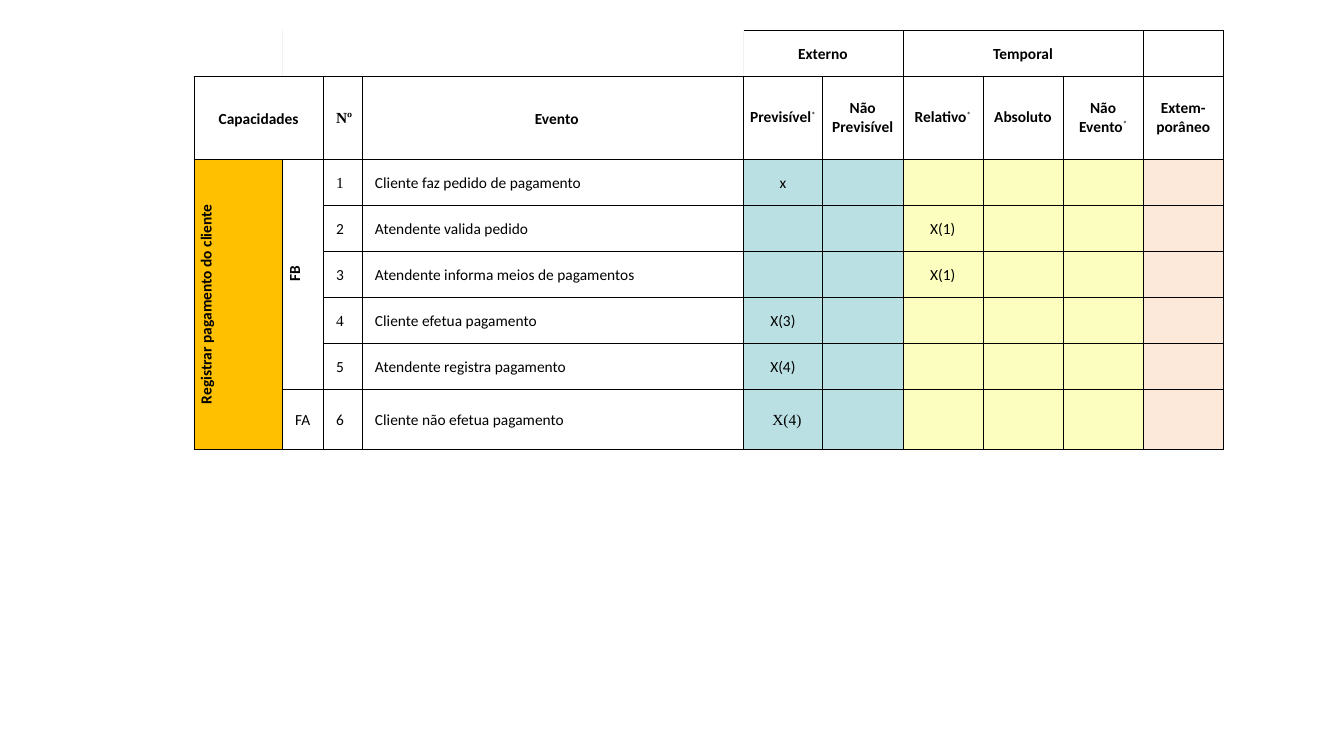
from dataclasses import dataclass

from lxml import etree
from pptx import Presentation, util as u
from pptx.dml.color import RGBColor
from pptx.enum import text
from pptx.oxml.ns import qn

BLACK = RGBColor(0x00, 0x00, 0x00)
PALE_GREY = RGBColor(0xF2, 0xF2, 0xF2)
GOLD = RGBColor(0xFF, 0xC0, 0x00)
BLUE = RGBColor(0xBB, 0xE0, 0xE3)
YELLOW = RGBColor(0xFB, 0xFE, 0xBE)
PEACH = RGBColor(0xFD, 0xE9, 0xD9)

SANS, SERIF = "Calibri", "Times New Roman"
COLUMN_WIDTHS = [2.23, 1.03, 0.98, 9.6, 2.0] + [2.02] * 5
ROW_HEIGHTS = [1.16, 2.08] + [1.16] * 5 + [1.53]
EVENT_FILLS = [None] * 4 + [BLUE] * 2 + [YELLOW] * 3 + [PEACH]
FIRST_EVENT_ROW = 2


@dataclass
class Label:
    row: int
    col: int
    text: str
    bold: bool = False
    font: str = SANS
    centred: bool = True
    indented: bool = False
    spacing: float = 1.15
    starred: bool = False
    vertical: bool = False


@dataclass
class Event:
    name: str
    mark: str
    mark_col: int = 4
    number_font: str = SANS
    mark_font: str = SANS


@dataclass
class Span:
    row: int
    col: int
    rows: int
    cols: int


HEADINGS = [
    Label(0, 4, "Externo", bold=True),
    Label(0, 6, "Temporal", bold=True),
    Label(1, 0, "Capacidades", bold=True),
    Label(1, 2, "Nº", bold=True, font=SERIF, centred=False, indented=True),
    Label(1, 3, "Evento", bold=True, indented=True),
    Label(1, 4, "Previsível", bold=True, spacing=1.0, starred=True),
    Label(1, 5, "Não Previsível", bold=True, spacing=1.0),
    Label(1, 6, "Relativo", bold=True, spacing=1.0, starred=True),
    Label(1, 7, "Absoluto", bold=True, spacing=1.0),
    Label(1, 8, "Não Evento", bold=True, spacing=1.0, starred=True),
    Label(1, 9, "Extem-porâneo", bold=True, spacing=1.0),
    Label(2, 0, "Registrar pagamento do cliente", bold=True, vertical=True),
    Label(2, 1, "FB", bold=True, vertical=True),
    Label(7, 1, "FA", centred=False, indented=True),
]
EVENTS = [
    Event("Cliente faz pedido de pagamento", "x", number_font=SERIF),
    Event("Atendente valida pedido", "X(1)", mark_col=6),
    Event("Atendente informa meios de pagamentos", "X(1)", mark_col=6),
    Event("Cliente efetua pagamento", "X(3)", number_font=SERIF),
    Event("Atendente registra pagamento", "X(4)"),
    Event("Cliente não efetua pagamento", "X(4)", mark_font=SERIF),
]
SPANS = [Span(0, 1, 1, 3), Span(0, 4, 1, 2), Span(0, 6, 1, 3),
         Span(1, 0, 1, 2), Span(2, 0, 6, 1), Span(2, 1, 5, 1)]


def event_labels(number: int, event: Event) -> list[Label]:
    row = FIRST_EVENT_ROW + number - 1
    serif_mark = event.mark_font == SERIF
    return [
        Label(row, 2, str(number), font=event.number_font, centred=False, indented=True),
        Label(row, 3, event.name, centred=False, indented=True),
        Label(row, event.mark_col, event.mark, font=event.mark_font, indented=serif_mark),
    ]


def border_colors(row: int, col: int) -> dict[str, RGBColor | None]:
    """Colour of each side; the empty top-left corner has no outer lines."""
    colors = dict.fromkeys(("lnL", "lnR", "lnT", "lnB"), BLACK)
    if row == 0 and col < 4:
        colors.update(lnL=PALE_GREY if col else None, lnR=PALE_GREY, lnT=None)
    elif row == 0 and col == 4:
        colors["lnL"] = PALE_GREY
    return colors


def draw_borders(cell, row: int, col: int) -> None:
    tcPr = cell._tc.get_or_add_tcPr()
    for side, color in border_colors(row, col).items():
        ln = etree.SubElement(tcPr, qn(f"a:{side}"), w=str(u.Pt(0.25)))
        if color is None:
            etree.SubElement(ln, qn("a:noFill"))
        else:
            fill = etree.SubElement(ln, qn("a:solidFill"))
            etree.SubElement(fill, qn("a:srgbClr"), val=str(color))


def paint(cell, color: RGBColor | None) -> None:
    if color is None:
        cell.fill.background()
    else:
        cell.fill.solid()
        cell.fill.fore_color.rgb = color


def add_run(p, words: str, font: str, bold: bool):
    r = p.add_run()
    r.text = words
    r.font.name, r.font.size, r.font.bold = font, u.Pt(11), bold
    r.font.color.rgb = BLACK
    return r


def write(table, label: Label) -> None:
    cell = table.cell(label.row, label.col)
    cell.vertical_anchor = text.MSO_ANCHOR.MIDDLE
    cell.margin_left = cell.margin_right = u.Cm(0.12)
    cell.margin_top = cell.margin_bottom = 0
    if label.vertical:
        cell._tc.get_or_add_tcPr().set("vert", "vert270")
    p = cell.text_frame.paragraphs[0]
    p.alignment = text.PP_ALIGN.CENTER if label.centred else text.PP_ALIGN.LEFT
    p.line_spacing = label.spacing
    if label.indented:
        p._p.get_or_add_pPr().set("indent", str(u.Cm(0.2)))
    add_run(p, label.text, label.font, label.bold)
    if label.starred:
        r = add_run(p, "*", label.font, False)
        r._r.get_or_add_rPr().set("baseline", "30000")


def add_event_table(s) -> None:
    frame = s.shapes.add_table(
        len(ROW_HEIGHTS), len(COLUMN_WIDTHS), u.Cm(4.89), u.Cm(0.76),
        u.Cm(sum(COLUMN_WIDTHS)), u.Cm(sum(ROW_HEIGHTS)))
    table = frame.table
    table.first_row = table.horz_banding = False
    for column, width in zip(table.columns, COLUMN_WIDTHS):
        column.width = u.Cm(width)
    for i, height in enumerate(ROW_HEIGHTS):
        table.rows[i].height = u.Cm(height)
        for j, event_fill in enumerate(EVENT_FILLS):
            cell = table.cell(i, j)
            draw_borders(cell, i, j)
            paint(cell, event_fill if i >= FIRST_EVENT_ROW else None)
    paint(table.cell(FIRST_EVENT_ROW, 0), GOLD)
    for span in SPANS:
        last = table.cell(span.row + span.rows - 1, span.col + span.cols - 1)
        table.cell(span.row, span.col).merge(last)
    for label in HEADINGS:
        write(table, label)
    for number, event in enumerate(EVENTS, 1):
        for label in event_labels(number, event):
            write(table, label)


def main() -> None:
    prs = Presentation()
    prs.slide_width, prs.slide_height = u.Cm(33.87), u.Cm(19.05)
    s = prs.slides.add_slide(prs.slide_layouts[6])
    add_event_table(s)
    prs.save("out.pptx")


if __name__ == "__main__":
    main()
